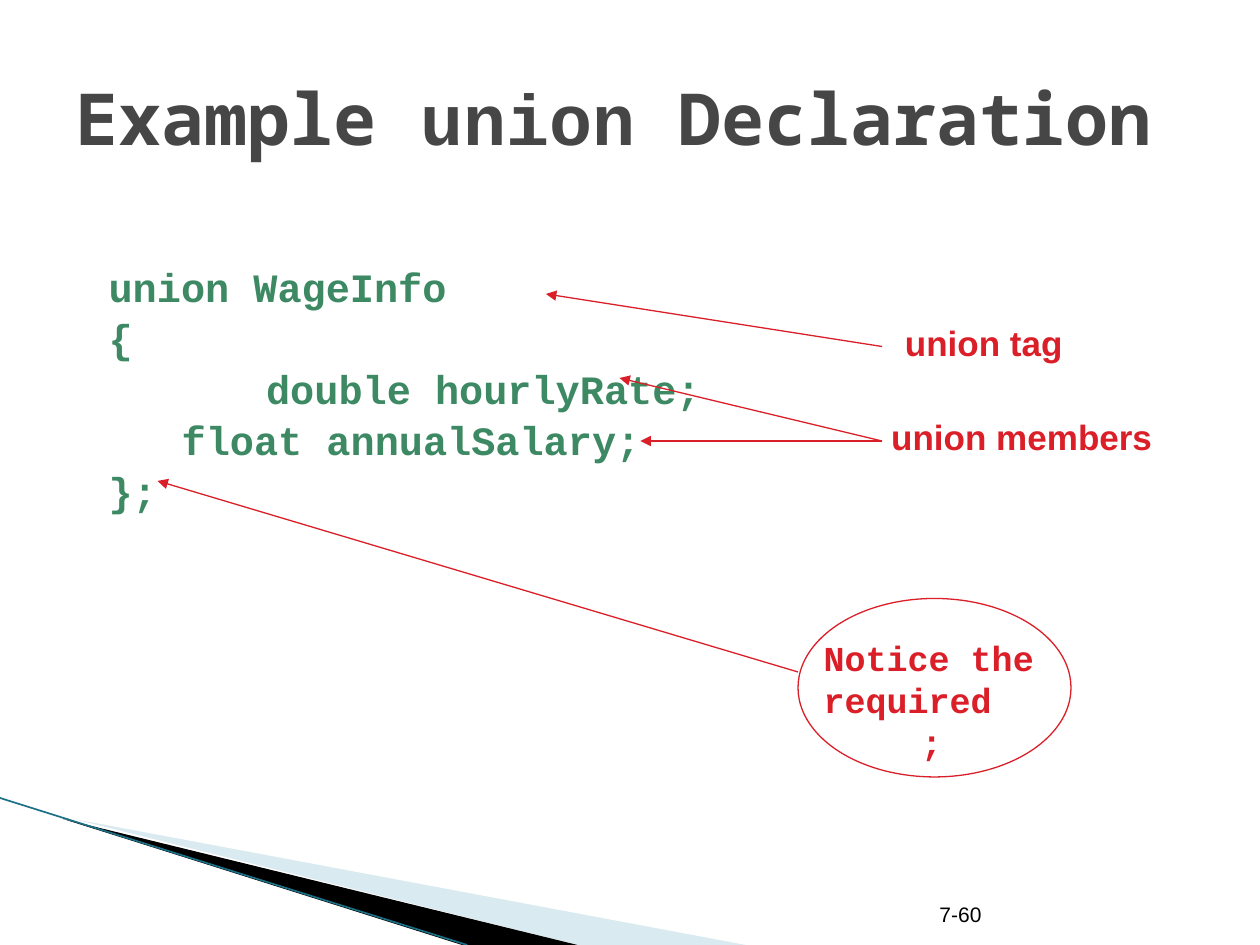
from lxml import etree
from pptx import Presentation, util as u
from pptx.dml.color import RGBColor
from pptx.enum import shapes, text
from pptx.oxml import ns

presentation = Presentation()
presentation.slide_width, presentation.slide_height = u.Inches(10), u.Inches(7.5)
slide = presentation.slides.add_slide(presentation.slide_layouts[6])
cell = presentation.slide_width // 120
RED, GREEN, GREY, BLACK = "DA1F28", "3D8963", "464646", "000000"


def color(value):
    return RGBColor.from_string(value)


def add_text(box, lines, size, font, ink, bold=True, anchor="TOP", wrap=True):
    shape = slide.shapes.add_textbox(*[round(n * cell) for n in box])
    frame = shape.text_frame
    frame.word_wrap = wrap
    frame.vertical_anchor = getattr(text.MSO_ANCHOR, anchor)
    for index, line in enumerate(lines):
        paragraph = frame.paragraphs[0] if index == 0 else frame.add_paragraph()
        paragraph.text = line
        paragraph.font.size, paragraph.font.name = u.Pt(size), font
        paragraph.font.bold = bold
        paragraph.font.color.rgb = color(ink)
    return frame


wedges = [
    ([(6.6, 78), (71.2, 90), (54.7, 90)], "A0CBDC", 40),
    ([(6.4, 77.9), (54.6, 90), (44.5, 90)], BLACK, 100),
]
for points, fill, opacity in wedges:
    builder = slide.shapes.build_freeform(*points[0], scale=cell)
    builder.add_line_segments(points[1:])
    wedge = builder.convert_to_shape()
    wedge.shadow.inherit = False
    wedge.line.fill.background()
    wedge.fill.solid()
    wedge.fill.fore_color.rgb = color(fill)
    if opacity < 100:
        srgb = wedge.fill._xPr.find(".//" + ns.qn("a:srgbClr"))
        etree.SubElement(srgb, ns.qn("a:alpha"), val=str(opacity * 1000))

add_text((88.3, 84.1, 25.2, 4.8), ["7-60"], 12, "Arial", BLACK, False, "BOTTOM")

title = add_text((6, 3.6, 108, 15), [""], 41, "Noto Sans Mono", GREY, anchor="MIDDLE")
for words, font in [
    ("Example ", "Noto Sans Mono"),
    ("union", "Courier New"),
    (" Declaration", "Noto Sans Mono"),
]:
    run = title.paragraphs[0].add_run()
    run.text, run.font.name = words, font

code = {
    "union WageInfo": 0.43,
    "{": 0.43,
    "double hourlyRate;": 1.68,
    "float annualSalary;": 1.01,
    "};": 0.43,
}
body = add_text((4, 24.4, 108.8, 55.6), code, 23, "Courier New", GREEN)
for paragraph, indent in zip(body.paragraphs, code.values()):
    paragraph._p.get_or_add_pPr().set("marL", str(u.Inches(indent)))
    paragraph.space_before = u.Pt(1.6)

ellipse = slide.shapes.add_shape(
    shapes.MSO_SHAPE.OVAL, *[n * cell for n in (76, 57, 26, 17)])
ellipse.shadow.inherit = False
ellipse.fill.background()
ellipse.line.color.rgb = color(RED)
ellipse.line.width = u.Pt(0.75)

add_text((85, 30, 17.4, 5.2), ["union tag"], 20, "Arial", RED, wrap=False)
add_text((83.7, 39, 30, 5.2), ["union members"], 20, "Arial", RED)
notice = add_text((77, 60, 23, 13.2), ["Notice the required", ";"], 20, "Courier New", RED)
notice.margin_left = u.Inches(0.12)
notice.margin_right = u.Inches(0.08)
notice.paragraphs[1].alignment = text.PP_ALIGN.CENTER

lines = [
    (0, 76, 44.5, 90, "1B7086", 0.95, False),
    (84, 33, 52, 28, RED, 0.75, True),
    (84, 42, 59, 36, RED, 0.75, True),
    (84, 42, 61, 42, RED, 0.75, True),
    (76, 64, 15, 45.8, RED, 0.75, True),
]
for *ends, ink, width, arrow in lines:
    connector = slide.shapes.add_connector(
        shapes.MSO_CONNECTOR.STRAIGHT, *[round(n * cell) for n in ends])
    connector.line.color.rgb = color(ink)
    connector.line.width = u.Pt(width)
    if arrow:
        etree.SubElement(connector.line._get_or_add_ln(), ns.qn("a:tailEnd"), type="triangle")
    etree.SubElement(connector._element.spPr, ns.qn("a:effectLst"))

presentation.save("out.pptx")
